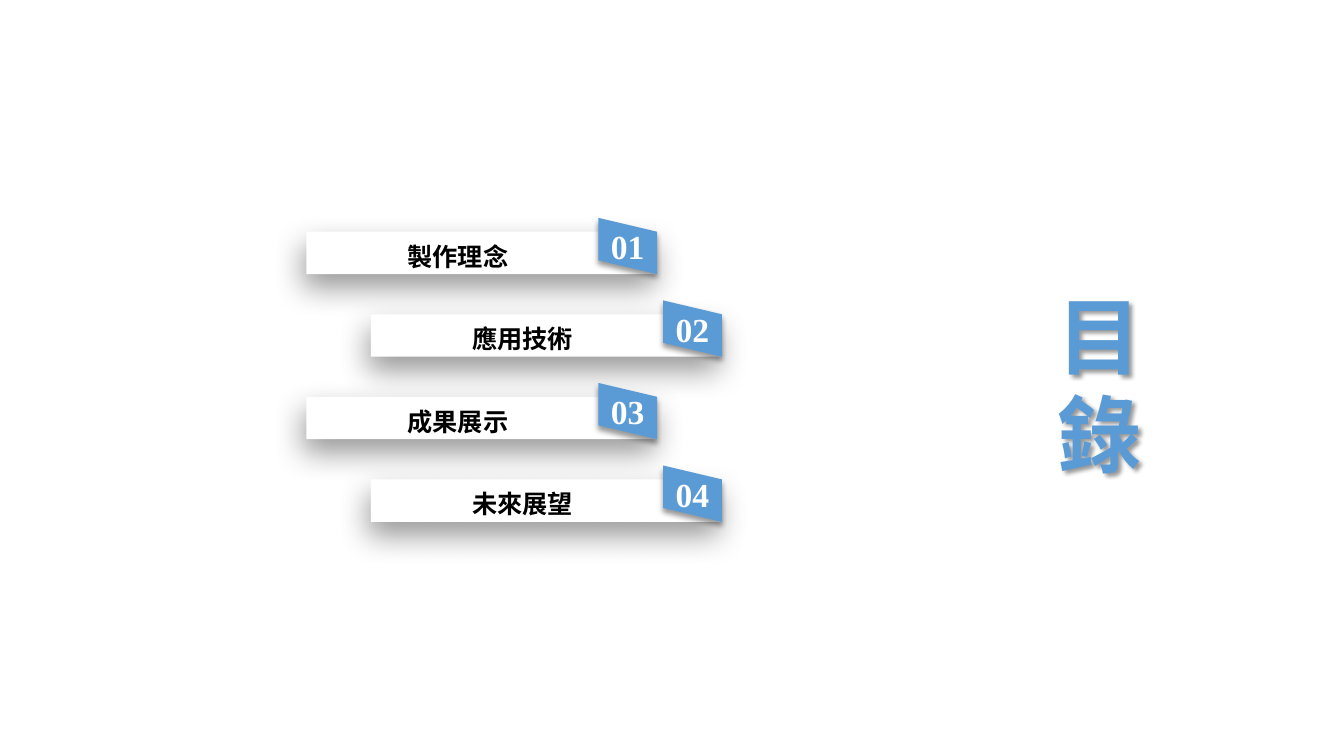
from lxml import etree
from pptx import Presentation
from pptx.dml.color import RGBColor
from pptx.enum.shapes import MSO_SHAPE
from pptx.enum.text import MSO_ANCHOR, PP_ALIGN
from pptx.oxml.ns import qn
from pptx.util import Cm, Pt

RECTANGLE = MSO_SHAPE.RECTANGLE
MIDDLE = MSO_ANCHOR.MIDDLE
CENTER, LEFT = PP_ALIGN.CENTER, PP_ALIGN.LEFT

TITLE = "目錄"
CHAPTERS = ["製作理念", "應用技術", "成果展示", "未來展望"]
BLUE, WHITE, BLACK = "5B9BD5", "FFFFFF", "000000"
CJK_FONT = "Noto Sans CJK SC"

BAR_LEFTS = [7.72, 9.35]
FIRST_TOP, ROW_PITCH = 5.84, 2.08
BAR_WIDTH, BAR_HEIGHT = 8.84, 1.07
BADGE_WIDTH, SLANT = 1.48, 0.35

BAR_SHADOW = {"blur": 22, "distance": 10, "angle": 101}
BADGE_SHADOW = {"blur": 4, "distance": 3, "angle": 90}
TITLE_SHADOW = {"blur": 3, "distance": 3, "angle": 45}

BAR_FRAME = {"margin_left": Cm(0.3), "margin_right": Cm(1.5),
             "margin_top": 0, "margin_bottom": 0}
LABEL_FONT = {"size": Pt(18), "name": "Arial", "bold": True}
NUMBER_FONT = {"size": Pt(24), "name": "Times New Roman", "bold": True}
TITLE_FONT = {"size": Pt(60), "name": CJK_FONT, "bold": True}


def apply(target, values):
    for key, value in values.items():
        setattr(target, key, value)


def paint(color_format, hex_color):
    color_format.rgb = RGBColor.from_string(hex_color)


def fill_shape(shape, hex_color):
    shape.fill.solid()
    paint(shape.fill.fore_color, hex_color)
    shape.line.fill.background()


def add_shadow(shape, blur, distance, angle):
    shape.shadow.inherit = False
    effects = shape._element.spPr.find(qn("a:effectLst"))
    outer = etree.SubElement(effects, qn("a:outerShdw"), {
        "blurRad": str(Pt(blur)), "dist": str(Pt(distance)),
        "dir": str(angle * 60000), "algn": "ctr", "rotWithShape": "0"})
    color = etree.SubElement(outer, qn("a:srgbClr"), val=BLACK)
    etree.SubElement(color, qn("a:alpha"), val="40000")


def write(shape, text, hex_color, font, paragraph_format, frame_format):
    frame = shape.text_frame
    apply(frame, {"word_wrap": True, "vertical_anchor": MIDDLE, **frame_format})
    paragraph = frame.paragraphs[0]
    apply(paragraph, paragraph_format)
    run = paragraph.add_run()
    run.text = text
    apply(run.font, font)
    paint(run.font.color, hex_color)
    etree.SubElement(run.font._element, qn("a:ea"), typeface=CJK_FONT)


def add_chapter(shapes, index, chapter):
    left = BAR_LEFTS[index % len(BAR_LEFTS)]
    top = FIRST_TOP + index * ROW_PITCH
    bottom, right = top + BAR_HEIGHT, left + BAR_WIDTH
    badge_left = right - BADGE_WIDTH

    bar = shapes.add_shape(RECTANGLE, Cm(left), Cm(top),
                           Cm(BAR_WIDTH), Cm(BAR_HEIGHT))
    fill_shape(bar, WHITE)
    add_shadow(bar, **BAR_SHADOW)
    write(bar, chapter, BLACK, LABEL_FONT,
          {"alignment": CENTER, "line_spacing": 1.2}, BAR_FRAME)

    outline = shapes.build_freeform(Cm(badge_left), Cm(top - SLANT))
    outline.add_line_segments([
        (Cm(badge_left), Cm(bottom - SLANT)),
        (Cm(right), Cm(bottom)),
        (Cm(right), Cm(top))])
    badge = outline.convert_to_shape()
    fill_shape(badge, BLUE)
    add_shadow(badge, **BADGE_SHADOW)
    write(badge, f"{index + 1:02}", WHITE, NUMBER_FONT,
          {"alignment": CENTER}, {})


def main():
    deck = Presentation()
    apply(deck, {"slide_width": Cm(33.87), "slide_height": Cm(19.05)})
    shapes = deck.slides.add_slide(deck.slide_layouts[6]).shapes

    for index, chapter in enumerate(CHAPTERS):
        add_chapter(shapes, index, chapter)

    heading = shapes.add_textbox(Cm(26.4), Cm(8.05), Cm(1.55), Cm(3.33))
    add_shadow(heading, **TITLE_SHADOW)
    write(heading, TITLE, BLUE, TITLE_FONT,
          {"alignment": LEFT, "line_spacing": Pt(69.5)}, {})

    deck.save("out.pptx")


if __name__ == "__main__":
    main()
